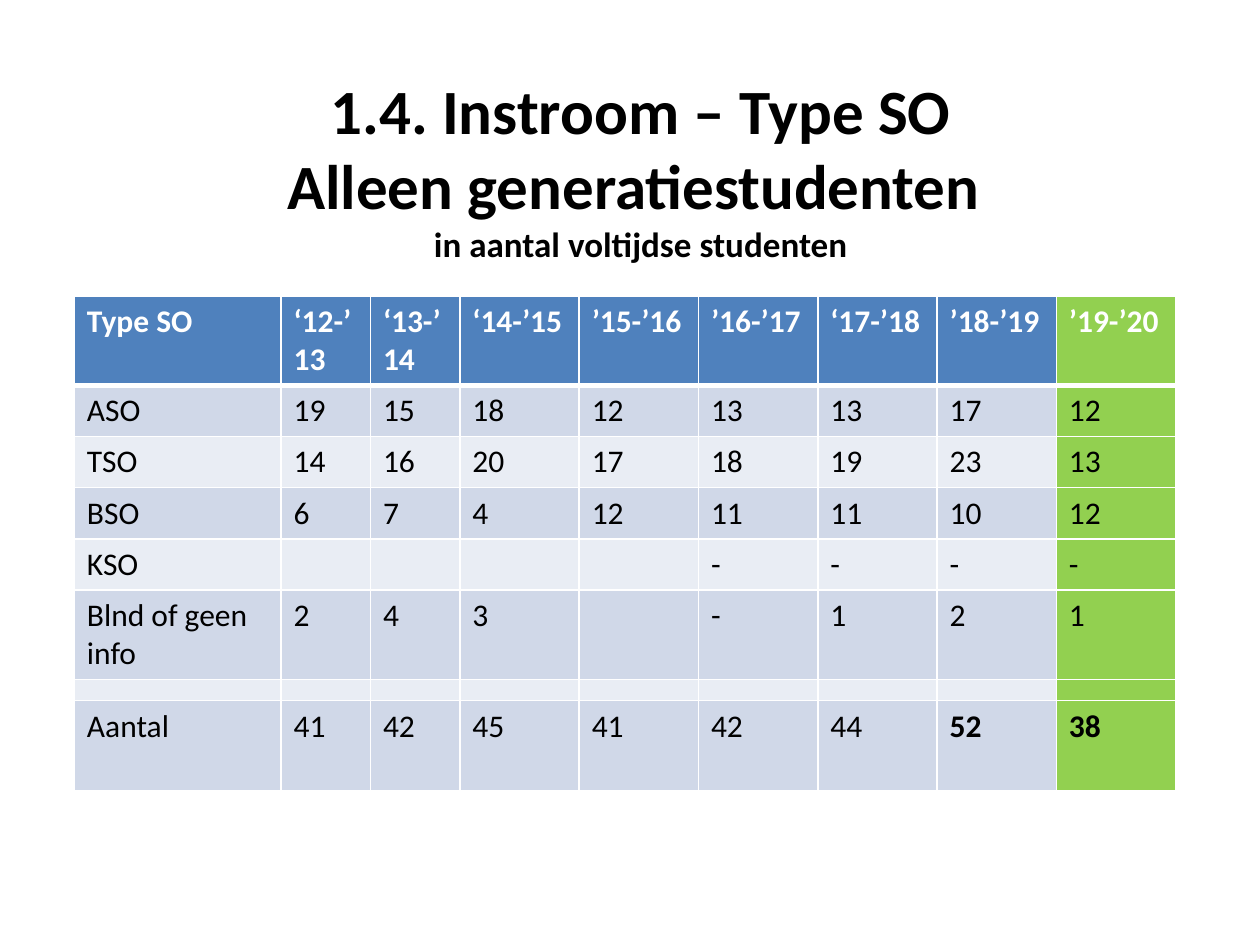
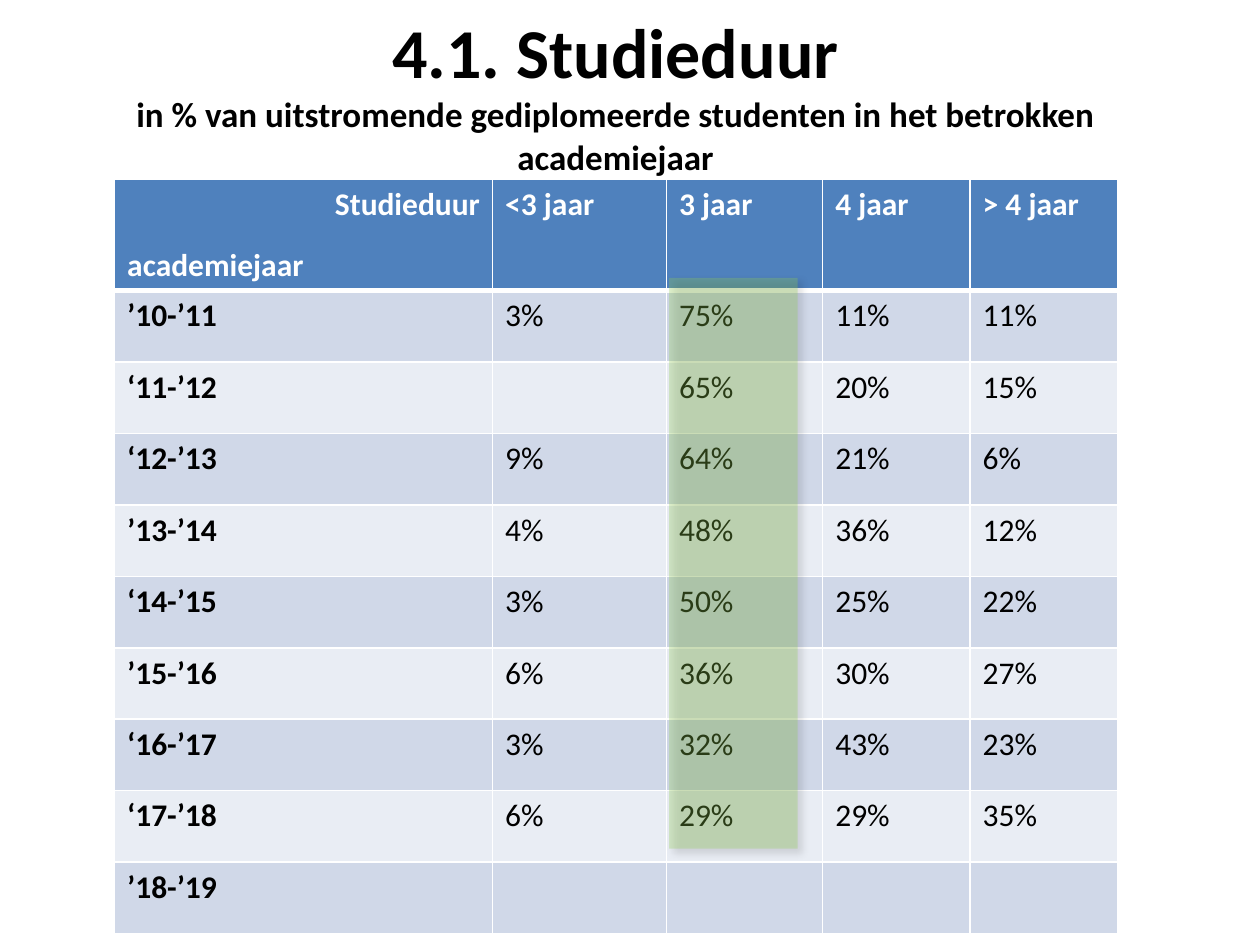
from lxml import etree
from pptx import Presentation
from pptx import util as u
from pptx.dml import color
from pptx.enum import shapes, text
from pptx.oxml import ns

FONT = "Calibri"
BLACK, WHITE, HEADER, GREEN = "000000", "FFFFFF", "4F81BD", "92D050"
BANDS = ("D0D8E8", "E9EDF4")
WIDTH, HEIGHT = u.Inches(10), u.Inches(7.5)
BODY_SIZE, TINY_SIZE = 18, 4

INTAKE = [
    ["Type SO", "‘12-’13", "‘13-’14", "‘14-’15", "’15-’16", "’16-’17", "‘17-’18", "’18-’19", "’19-’20"],
    ["ASO", "19", "15", "18", "12", "13", "13", "17", "12"],
    ["TSO", "14", "16", "20", "17", "18", "19", "23", "13"],
    ["BSO", "6", "7", "4", "12", "11", "11", "10", "12"],
    ["KSO", "", "", "", "", "-", "-", "-", "-"],
    ["Blnd of geen info", "2", "4", "3", "", "-", "1", "2", "1"],
    [""] * 9,
    ["Aantal", "41", "42", "45", "41", "42", "44", "52", "38"],
]
DURATION = [
    ["Studieduur\nacademiejaar", "<3 jaar", "3 jaar", "4 jaar", "> 4 jaar"],
    ["’10-’11", "3%", "75%", "11%", "11%"],
    ["‘11-’12", "", "65%", "20%", "15%"],
    ["‘12-’13", "9%", "64%", "21%", "6%"],
    ["’13-’14", "4%", "48%", "36%", "12%"],
    ["‘14-’15", "3%", "50%", "25%", "22%"],
    ["’15-’16", "6%", "36%", "30%", "27%"],
    ["‘16-’17", "3%", "32%", "43%", "23%"],
    ["‘17-’18", "6%", "29%", "29%", "35%"],
    ["’18-’19", "", "", "", ""],
]


def rgb(value):
    """Turn a hex string into a colour."""
    return color.RGBColor.from_string(value)


def across(percent):
    """Return a share of the slide's width."""
    return u.Emu(int(WIDTH * percent / 100))


def down(percent):
    """Return a share of the slide's height."""
    return u.Emu(int(HEIGHT * percent / 100))


def box(left, top, width, height):
    """Return a frame given in percent of the slide."""
    return across(left), down(top), across(width), down(height)


def add_node(parent, tag, **attrs):
    """Append a DrawingML element and return it."""
    node = etree.SubElement(parent, ns.qn(tag))
    for name, value in attrs.items():
        node.set(name, str(value))
    return node


def paint(sp, value):
    """Give a shape or cell a solid fill."""
    sp.fill.solid()
    sp.fill.fore_color.rgb = rgb(value)


def style(p, size, value, bold):
    """Format all runs of a paragraph."""
    for r in p.runs:
        r.font.name = FONT
        r.font.size = u.Pt(size)
        r.font.bold = bold
        r.font.color.rgb = rgb(value)


def add_title(slide, frame, lines):
    """Add a centred bold heading from (wording, size) lines."""
    tf = slide.shapes.add_textbox(*frame).text_frame
    tf.word_wrap = True
    tf.text = "\n".join(words for words, _ in lines)
    for p, (_, size) in zip(tf.paragraphs, lines):
        p.alignment = text.PP_ALIGN.CENTER
        style(p, size, BLACK, True)


def add_borders(cell, row):
    """Draw white cell borders, thick below the header."""
    tc_pr = cell._tc.get_or_add_tcPr()
    widths = {"L": 1, "R": 1, "T": 3 if row == 1 else 1, "B": 3 if row == 0 else 1}
    for side, width in widths.items():
        ln = add_node(tc_pr, f"a:ln{side}", w=u.Pt(width))
        add_node(add_node(ln, "a:solidFill"), "a:srgbClr", val=WHITE)


def fill_cell(cell, row, words, fill, bold):
    """Set the wording and look of one table cell."""
    add_borders(cell, row)
    paint(cell, fill)
    cell.text_frame.text = words
    for p in cell.text_frame.paragraphs:
        style(p, BODY_SIZE, BLACK if row else WHITE, bold or row == 0)
        if not words:
            add_node(p._p, "a:endParaRPr", sz=TINY_SIZE * 100)


def add_grid(slide, left, top, cols, rows, data, is_bold, green_col=None):
    """Add a banded table with columns and rows in percent of the slide."""
    frame = box(left, top, sum(cols), sum(rows))
    table = slide.shapes.add_table(len(rows), len(cols), *frame).table
    table.first_row = table.horz_banding = False
    for col, share in zip(table.columns, cols):
        col.width = across(share)
    for i, (share, values) in enumerate(zip(rows, data)):
        table.rows[i].height = down(share)
        for j, words in enumerate(values):
            fill = BANDS[(i - 1) % 2] if i else HEADER
            fill_cell(table.cell(i, j), i, words, GREEN if j == green_col else fill, is_bold(i, j))
    return table


def add_highlight(slide, frame, opacity):
    """Add a see-through green panel with a soft shadow."""
    sp = slide.shapes.add_shape(shapes.MSO_SHAPE.RECTANGLE, *frame)
    sp.shadow.inherit = False
    paint(sp, GREEN)
    sp.line.fill.background()
    sp_pr = sp._element.spPr
    add_node(sp_pr.find(".//" + ns.qn("a:srgbClr")), "a:alpha", val=opacity * 1000)
    shadow = add_node(sp_pr.find(ns.qn("a:effectLst")), "a:outerShdw", blurRad=u.Pt(4),
                      dist=u.Pt(3), dir=45 * 60000, algn="tl", rotWithShape=0)
    add_node(add_node(shadow, "a:srgbClr", val=BLACK), "a:alpha", val=40000)


def build_intake(slide):
    """Build the intake slide."""
    last = len(INTAKE) - 1
    rows = [9.5] + [5.4] * 4 + [9.5, 2.2, 9.5]
    add_grid(slide, 5.9, 31.3, [16.4] + [7.1] * 2 + [9.47] * 6, rows, INTAKE,
             lambda i, j: i == last and j >= 7, green_col=8)
    add_title(slide, box(8.3, 6.9, 85.1, 22), [
        ("1.4. Instroom – Type SO", 36),
        ("Alleen generatiestudenten ", 36),
        ("in aantal voltijdse studenten", 20),
    ])


def build_duration(slide):
    """Build the study duration slide."""
    table = add_grid(slide, 9.1, 19, [30, 13.8, 12.4, 11.7, 11.7], [11.75] + [7.56] * 9,
                     DURATION, lambda i, j: j == 0)
    top_label, side_label = table.cell(0, 0).text_frame.paragraphs
    top_label.alignment = text.PP_ALIGN.RIGHT
    side_label.space_before = u.Pt(12.8)
    add_highlight(slide, box(53.1, 29.4, 10.2, 60.4), 29)
    add_title(slide, box(6.7, 0.3, 84.3, 26.5), [
        ("4.1. Studieduur", 40),
        ("in % van uitstromende gediplomeerde studenten in het betrokken academiejaar", 20),
    ])


def main():
    """Build and save the deck."""
    prs = Presentation()
    prs.slide_width, prs.slide_height = WIDTH, HEIGHT
    for build in (build_intake, build_duration):
        build(prs.slides.add_slide(prs.slide_layouts[6]))
    prs.save("out.pptx")


if __name__ == "__main__":
    main()
